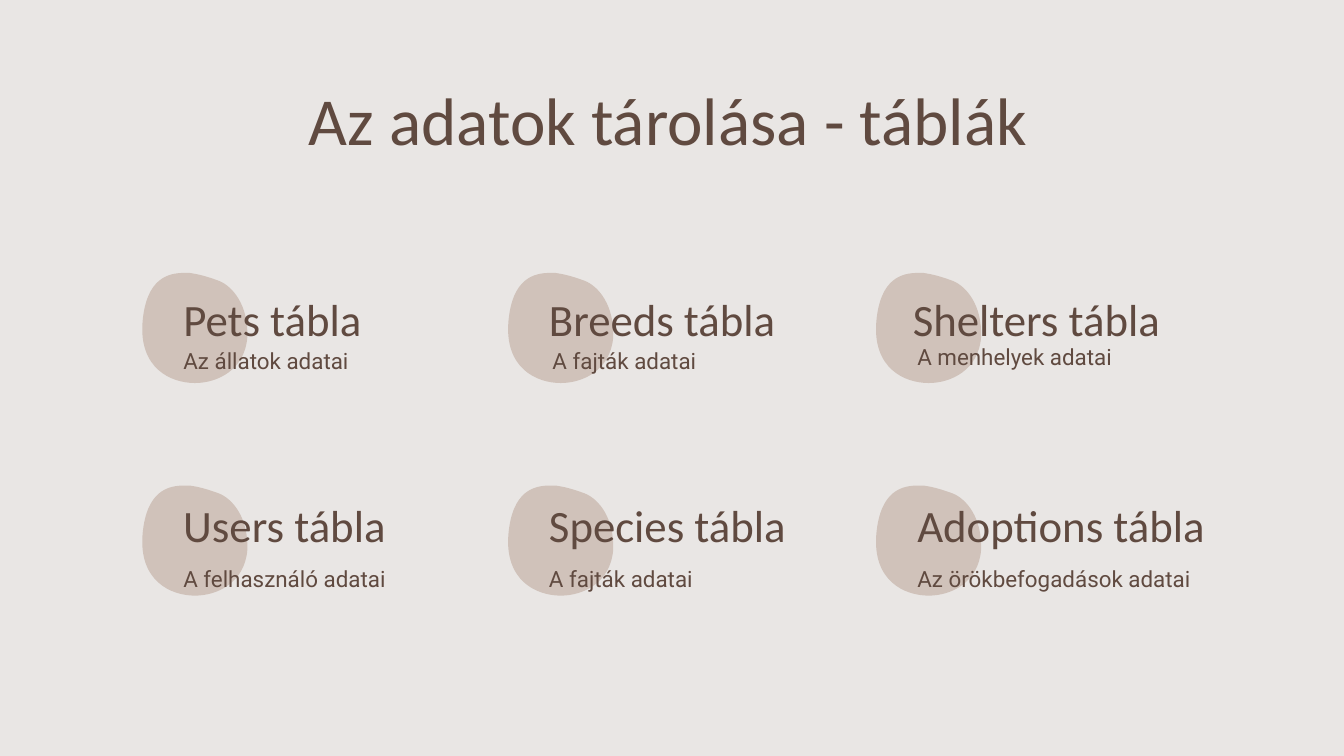
from lxml.etree import SubElement
from pptx import Presentation
from pptx.dml.color import RGBColor
from pptx.enum.text import MSO_ANCHOR, PP_ALIGN
from pptx.oxml.ns import qn
from pptx.util import Pt

BACKGROUND = RGBColor(0xE9, 0xE6, 0xE4)
BLOB = RGBColor(0xD0, 0xC2, 0xBA)
BROWN = RGBColor(0x60, 0x4A, 0x40)

TITLE = "Az adatok tárolása - táblák "  # the closing space is part of the centred line

# Each card: column, row, (heading, left, width), (caption, left, top, width, height)
CARDS = [
    (0, 0, ("Pets tábla", 91.1, 142), ("Az állatok adatai", 91.1, 176.4, 142, 28)),
    (1, 0, ("Breeds tábla", 287, 166), ("A fajták adatai", 288.9, 176.4, 149, 51.8)),
    (2, 0, ("Shelters tábla", 481.9, 184), ("A menhelyek adatai", 484.3, 174.6, 142, 51.8)),
    (0, 1, ("Users tábla", 91.1, 164), ("A felhasználó adatai", 91.1, 293.5, 142, 51.8)),
    (1, 1, ("Species tábla", 287, 182), ("A fajták adatai", 287, 293.5, 142, 51.8)),
    (2, 1, ("Adoptions tábla", 484.3, 220),
     ("Az örökbefogadások adatai", 484.3, 293.5, 182, 51.8)),
]
BLOB_LEFTS = [74.2, 270.2, 467.3]
BLOB_TOPS = [146.2, 260.1]
HEADING_TOPS = [159.1, 269.3]

# Blob outline: start point, then cubic curves (two controls and an end point)
BLOB_START = (24.5, 0)
BLOB_CURVES = [
    ((15.8, 0), (4.3, 2.9), (2.2, 25.9)),
    ((0, 51.1), (17.3, 59), (30.2, 59)),
    ((42.5, 59), (56.9, 51.8), (58.3, 34.6)),
    ((59, 17.3), (50.4, 7.2), (43.2, 4.3)),
    ((35.3, 1.4), (31.7, 0.7), (27.4, 0)),
    ((26.6, 0), (25.9, 0), BLOB_START),
]
UNITS = 100  # outline units per point


def add_blob(slide, left, top):
    def scaled(point):
        return tuple(round(value * UNITS) for value in point)

    builder = slide.shapes.build_freeform(*scaled(BLOB_START), scale=Pt(1) / UNITS)
    builder.add_line_segments(
        [scaled(point) for curve in BLOB_CURVES for point in curve], close=True)
    shape = builder.convert_to_shape(Pt(left), Pt(top))

    # Join every three segments into one cubic curve
    segments = list(shape.element.iter(qn("a:lnTo")))
    outline = segments[0].getparent()
    close = outline.find(qn("a:close"))
    for index in range(0, len(BLOB_CURVES) * 3, 3):
        curve = SubElement(outline, qn("a:cubicBezTo"))
        for segment in segments[index:index + 3]:
            curve.append(segment[0])
    for segment in segments:
        outline.remove(segment)
    outline.append(close)

    shape.shadow.inherit = False
    shape.fill.solid()
    shape.fill.fore_color.rgb = BLOB
    shape.line.fill.background()


def add_text(slide, text, box, font, size, spacing, anchor=MSO_ANCHOR.TOP,
             align=PP_ALIGN.LEFT, after=0):
    frame = slide.shapes.add_textbox(*map(Pt, box)).text_frame
    frame.word_wrap = True
    frame.vertical_anchor = anchor
    frame.margin_left = frame.margin_right = Pt(7.2)
    frame.margin_top = frame.margin_bottom = Pt(7.2)
    paragraph = frame.paragraphs[0]
    paragraph.alignment = align
    paragraph.line_spacing = spacing
    paragraph.space_after = Pt(after)
    run = paragraph.add_run()
    run.text = text
    run.font.name = font
    run.font.size = Pt(size)
    run.font.color.rgb = BROWN


presentation = Presentation()
presentation.slide_width, presentation.slide_height = Pt(720), Pt(405)
slide = presentation.slides.add_slide(presentation.slide_layouts[6])
slide.background.fill.solid()
slide.background.fill.fore_color.rgb = BACKGROUND

# Blobs lie behind all text
for column, row, _, _ in CARDS:
    add_blob(slide, BLOB_LEFTS[column], BLOB_TOPS[row])

# Title
add_text(slide, TITLE, (56.7, 46.8, 610.6, 45.4), "Calibri", 36, 0.7, align=PP_ALIGN.CENTER)

# Headings and captions
for _, row, (heading, left, width), (caption, *caption_box) in CARDS:
    add_text(slide, heading, (left, HEADING_TOPS[row], width, 33.1), "Calibri", 24, 0.8,
             anchor=MSO_ANCHOR.BOTTOM)
    add_text(slide, caption, caption_box, "Roboto", 12, 1.15, after=16)

presentation.save("out.pptx")
